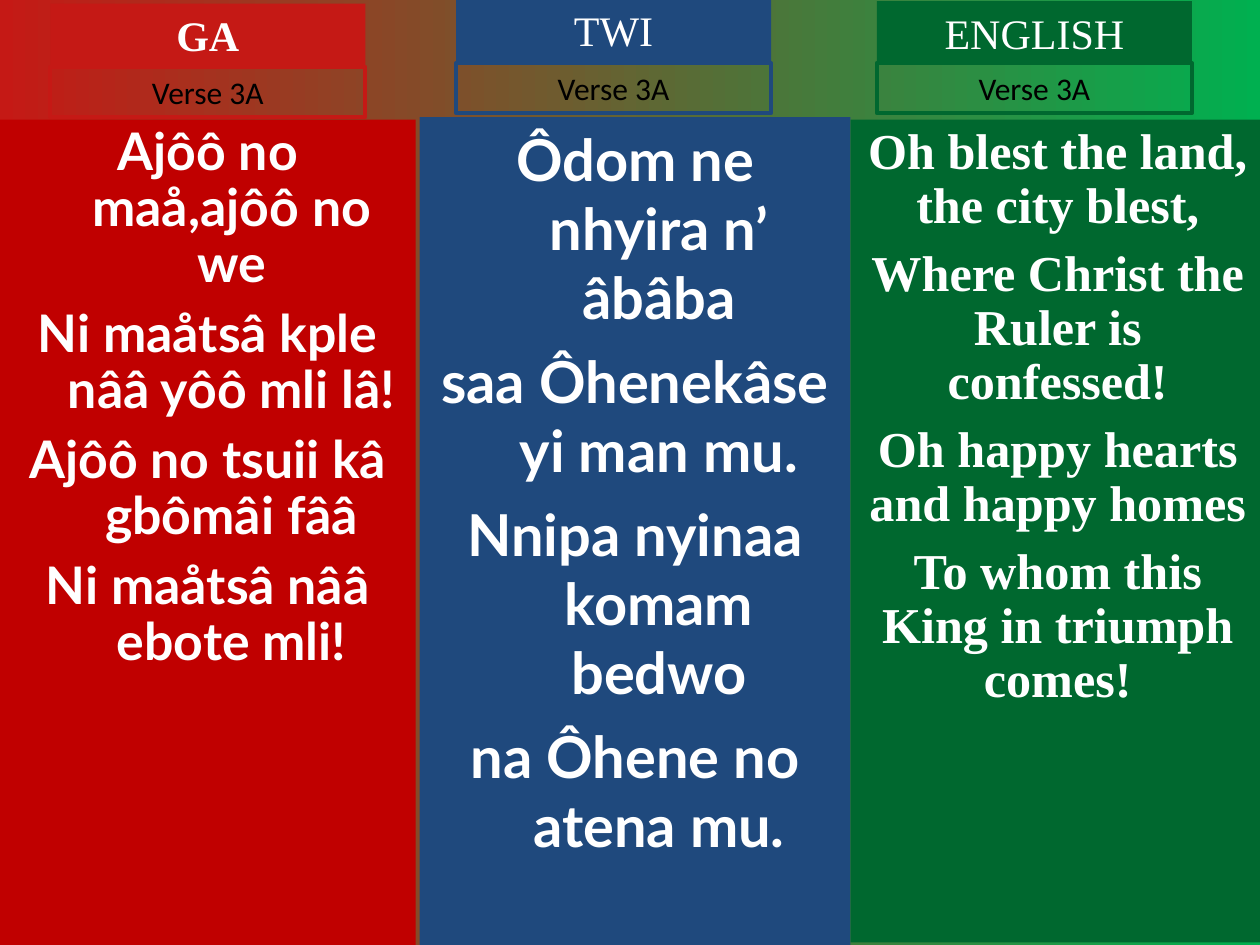
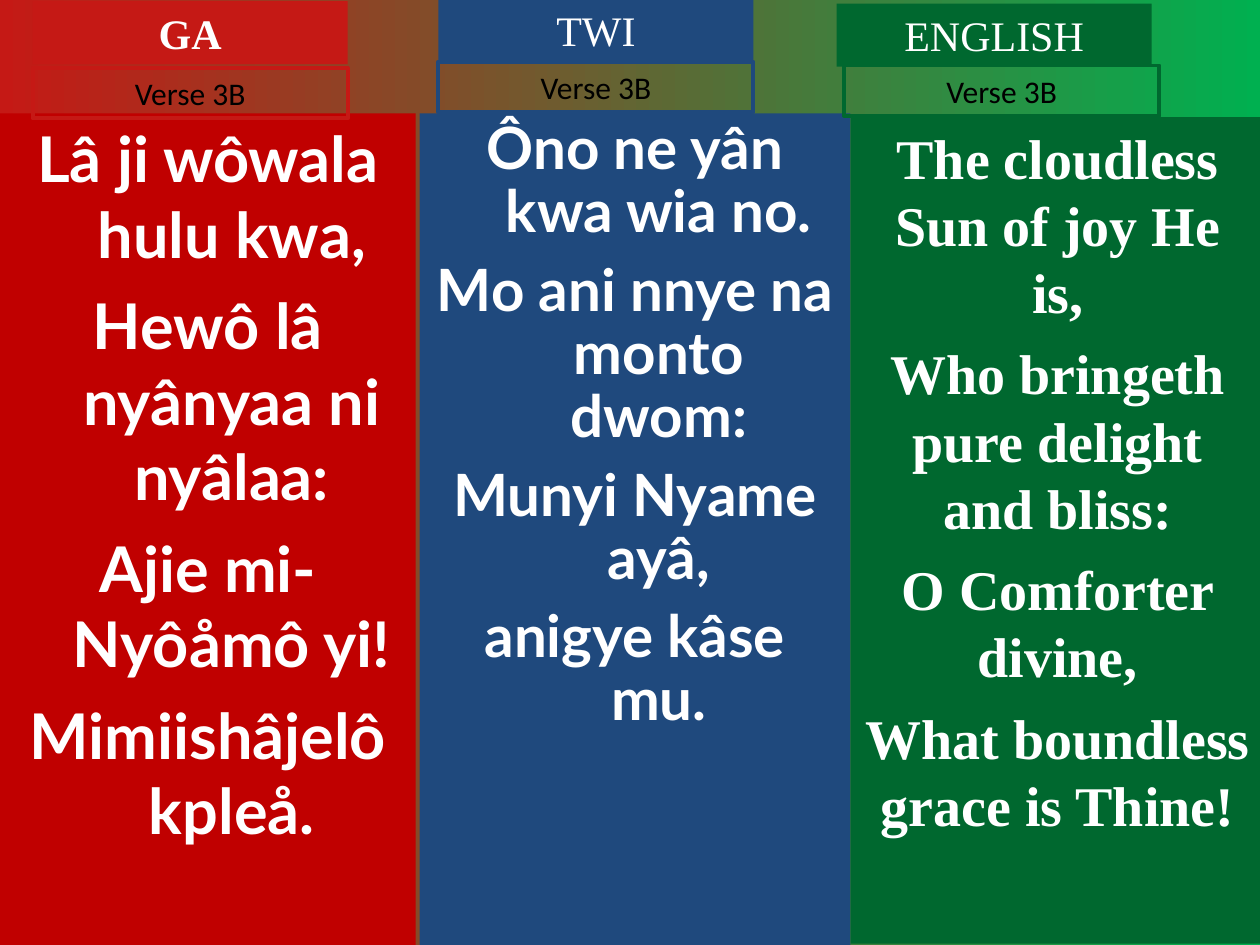
"""Build two hymn slides that show a verse in Ga, Twi and English side by side."""
from dataclasses import dataclass

from pptx import Presentation
from pptx.dml.color import RGBColor
from pptx.enum.shapes import MSO_SHAPE
from pptx.enum.text import MSO_ANCHOR, MSO_AUTO_SIZE, PP_ALIGN
from pptx.util import Emu, Pt

EMU_PER_PX = 9144


@dataclass(frozen=True)
class Theme:
    backdrop: tuple = ("C51915", "00B050")
    light: str = "FFFFFF"
    dark: str = "000000"
    title_font: str = "Times New Roman"
    label_font: str = "Calibri"
    title_size: int = 24
    label_size: int = 18
    outline: float = 2.25
    hanging: int = 38


@dataclass(frozen=True)
class Language:
    name: str
    left: int
    width: int
    panel_color: str
    title_color: str
    font: str
    hanging: bool = True
    title_bold: bool = False


@dataclass(frozen=True)
class Verse:
    lines: tuple
    panel_top: int
    panel_height: int
    size: float
    space: float
    spacing: float
    title_at: tuple
    label_at: tuple


THEME = Theme()
TITLE_SIZE = (250, 50)
LABEL_SIZE = (250, 40)

LANGUAGES = (
    Language("GA", 0, 330, "C00000", "C51915", "Lato", title_bold=True),
    Language("TWI", 333, 342, "1F497D", "1F497D", "Lato"),
    Language("ENGLISH", 675, 329, "00682F", "00682F", "Times New Roman", hanging=False),
)

SLIDES = {
    "Verse 3A": (
        Verse(("Ajôô no maå,ajôô no we", "Ni maåtsâ kple nââ yôô mli lâ!",
               "Ajôô no tsuii kâ gbômâi fââ", "Ni maåtsâ nââ ebote mli!"),
              95, 655, 29.6, 8, 0.9, (40, 3), (40, 53)),
        Verse(("Ôdom ne nhyira n’ âbâba", "saa Ôhenekâse yi man mu.",
               "Nnipa nyinaa komam bedwo", "na Ôhene no atena mu."),
              93, 657, 33, 8.2, 1.0, (362, -1), (362, 50)),
        Verse(("Oh blest the land, the city blest,", "Where Christ the Ruler is confessed!",
               "Oh happy hearts and happy homes", "To whom this King in triumph comes!"),
              95, 653, 28.7, 7.7, 0.9, (696, 1), (696, 50)),
    ),
    "Verse 3B": (
        Verse(("Lâ ji wôwala hulu kwa,", "Hewô lâ nyânyaa ni nyâlaa:",
               "Ajie mi-Nyôåmô yi!", "Mimiishâjelô kpleå."),
              90, 660, 36, 9, 1.0, (26, 1), (26, 54)),
        Verse(("Ôno ne yân kwa wia no.", "Mo ani nnye na monto dwom:",
               "Munyi Nyame ayâ,", "anigye kâse mu."),
              90, 660, 33.3, 9, 0.9, (348, -1), (348, 49)),
        Verse(("The cloudless Sun of joy He is,", "Who bringeth pure delight and bliss:",
               "O Comforter divine,", "What boundless grace is Thine!"),
              93, 656, 32, 8, 1.0, (664, 3), (670, 52)),
    ),
}


def px(length):
    return Emu(length * EMU_PER_PX)


def paint_background(slide):
    fill = slide.background.fill
    fill.gradient()
    fill.gradient_angle = 0
    for stop, position, color in zip(fill.gradient_stops, (0, 1), THEME.backdrop):
        stop.position = position
        stop.color.rgb = RGBColor.from_string(color)


def add_box(slide, position, size, fill=None, line=None):
    shape = slide.shapes.add_shape(MSO_SHAPE.RECTANGLE, *map(px, position + size))
    shape.shadow.inherit = False
    if fill:
        shape.fill.solid()
        shape.fill.fore_color.rgb = RGBColor.from_string(fill)
    else:
        shape.fill.background()
    if line:
        shape.line.color.rgb = RGBColor.from_string(line)
        shape.line.width = Pt(THEME.outline)
    else:
        shape.line.fill.background()
    shape.text_frame.word_wrap = True
    shape.text_frame.vertical_anchor = MSO_ANCHOR.TOP
    return shape


def write_paragraph(paragraph, text, font, size, color, bold=False):
    paragraph.text = text
    paragraph.alignment = PP_ALIGN.CENTER
    paragraph.font.name = font
    paragraph.font.size = Pt(size)
    paragraph.font.bold = bold
    paragraph.font.color.rgb = RGBColor.from_string(color)


def set_hanging_indent(paragraph, length):
    properties = paragraph._p.get_or_add_pPr()
    properties.set("marL", str(px(length)))
    properties.set("indent", str(px(-length)))


def add_panel(slide, language, verse):
    shape = add_box(slide, (language.left, verse.panel_top),
                    (language.width, verse.panel_height), fill=language.panel_color)
    frame = shape.text_frame
    for index, line in enumerate(verse.lines):
        paragraph = frame.add_paragraph() if index else frame.paragraphs[0]
        write_paragraph(paragraph, line, language.font, verse.size, THEME.light, bold=True)
        paragraph.line_spacing = verse.spacing
        paragraph.space_before = Pt(verse.space if index else 0)
        if language.hanging:
            set_hanging_indent(paragraph, THEME.hanging)


def add_title(slide, language, position):
    shape = add_box(slide, position, TITLE_SIZE, fill=language.title_color)
    shape.text_frame.auto_size = MSO_AUTO_SIZE.SHAPE_TO_FIT_TEXT
    write_paragraph(shape.text_frame.paragraphs[0], language.name, THEME.title_font,
                    THEME.title_size, THEME.light, language.title_bold)


def add_label(slide, language, position, text):
    shape = add_box(slide, position, LABEL_SIZE, line=language.title_color)
    shape.text_frame.auto_size = MSO_AUTO_SIZE.SHAPE_TO_FIT_TEXT
    write_paragraph(shape.text_frame.paragraphs[0], text, THEME.label_font,
                    THEME.label_size, THEME.dark)


def main():
    presentation = Presentation()
    presentation.slide_width, presentation.slide_height = px(1000), px(750)
    for label, verses in SLIDES.items():
        slide = presentation.slides.add_slide(presentation.slide_layouts[6])
        paint_background(slide)
        for language, verse in zip(LANGUAGES, verses):
            add_panel(slide, language, verse)
            add_title(slide, language, verse.title_at)
            add_label(slide, language, verse.label_at, label)
    presentation.save("out.pptx")


if __name__ == "__main__":
    main()
